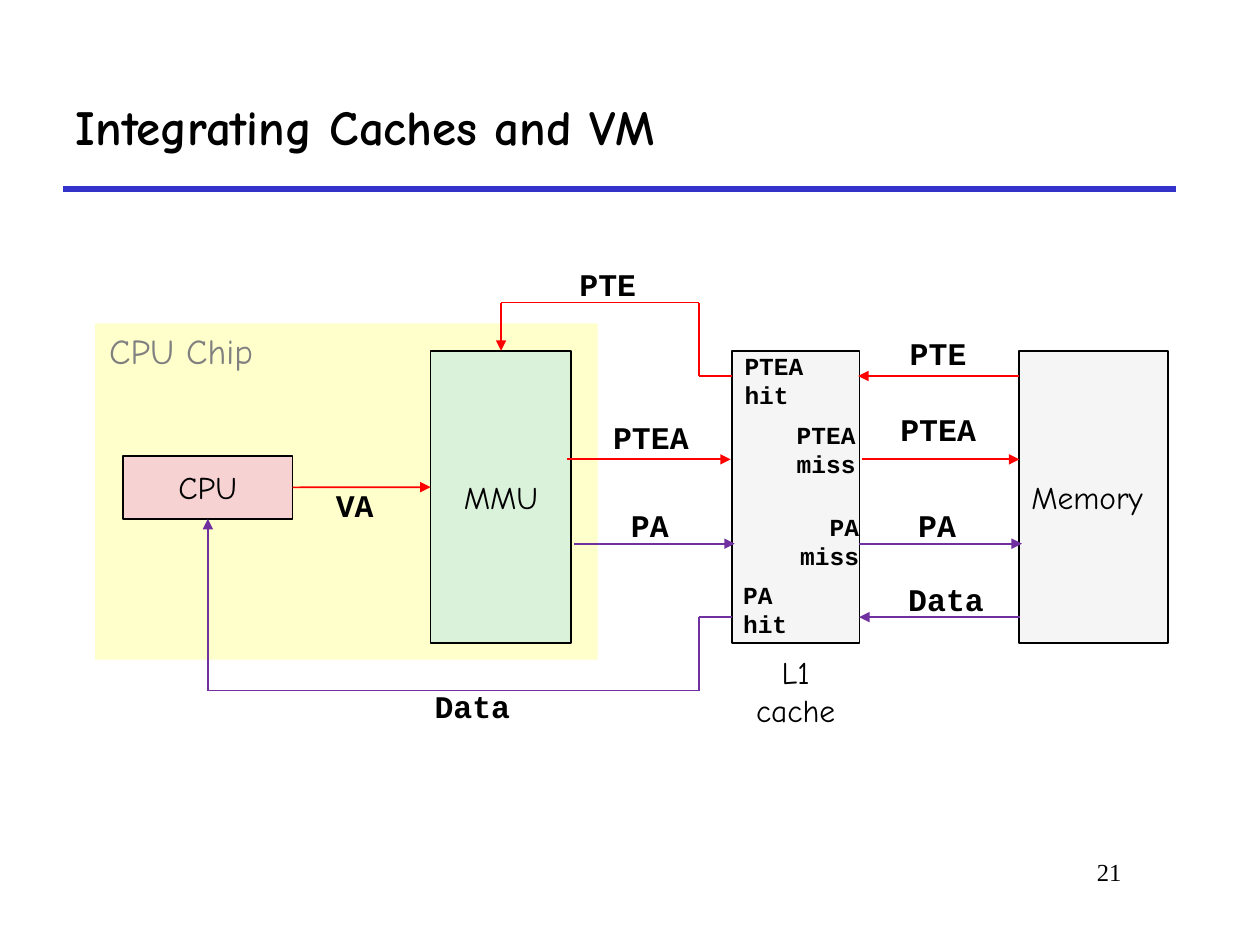
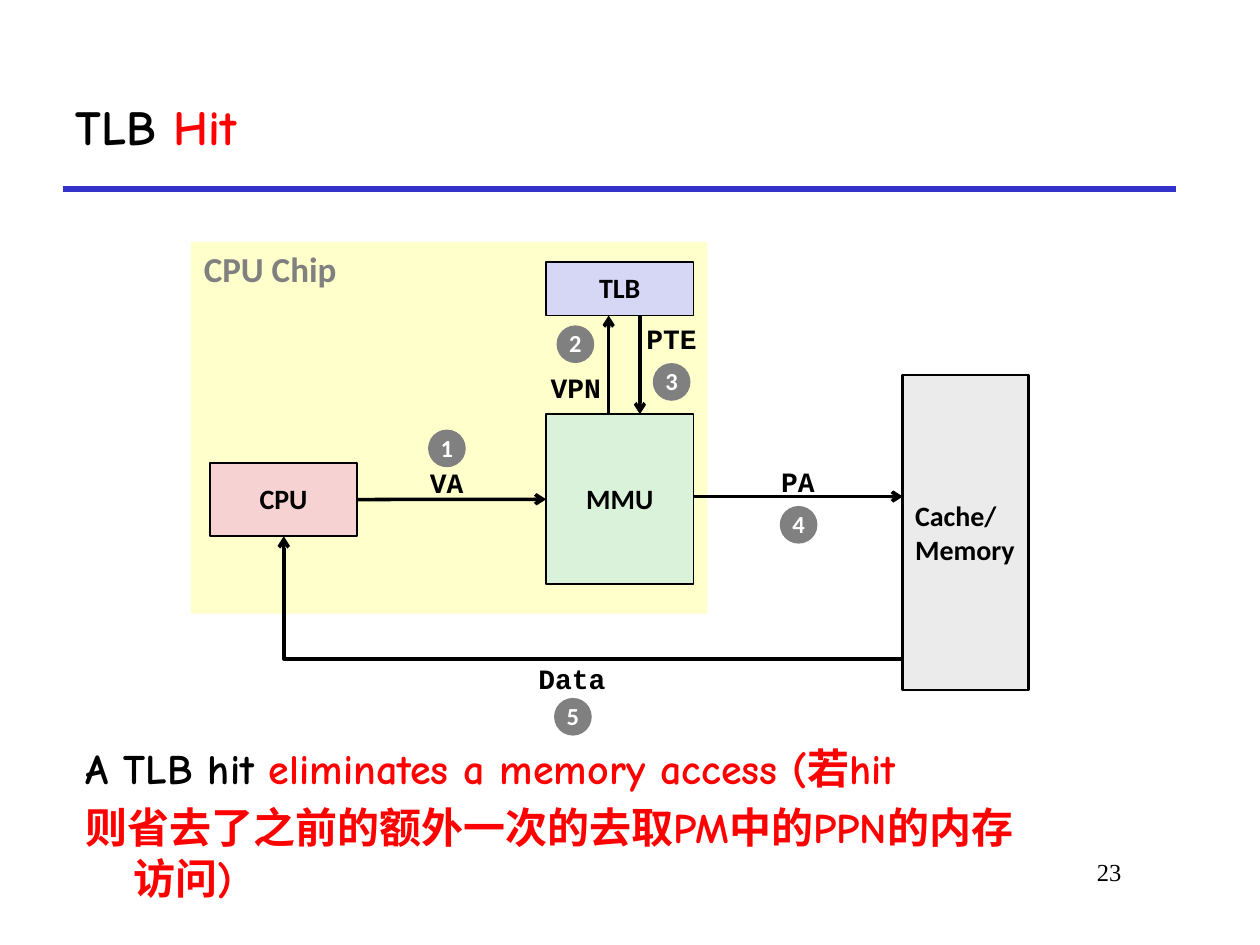
"""Build two slides on address translation: caches with virtual memory, and a TLB hit."""
import lxml.etree
import pptx
import pptx.dml.color
import pptx.enum.shapes
import pptx.enum.text
import pptx.oxml.ns
import pptx.util

Cm = pptx.util.Cm
Pt = pptx.util.Pt
qn = pptx.oxml.ns.qn
ALIGN = pptx.enum.text.PP_ALIGN
ANCHOR = pptx.enum.text.MSO_ANCHOR
AUTO_SIZE = pptx.enum.text.MSO_AUTO_SIZE
SHAPE = pptx.enum.shapes.MSO_SHAPE
CONNECTOR = pptx.enum.shapes.MSO_CONNECTOR
TOP, LEFT, BOTTOM, RIGHT = range(4)

COLORS = {
    "black": "000000", "white": "FFFFFF", "grey": "808080", "red": "FF0000",
    "purple": "7030A0", "rule": "3333CC", "chip": "FFFFCC", "cpu": "F6D2D2",
    "mmu": "DBF2DA", "tlb": "D6D6F5", "cache": "F5F5F5", "memory": "EBEBEB",
}

TITLE_FONT = {"name": "Comic Neue", "size": Pt(28), "bold": True}
BODY_FONT = {**TITLE_FONT, "size": Pt(24)}
NUMBER_FONT = {"name": "Times New Roman", "size": Pt(14)}
COMIC_FONT = {"name": "Comic Neue", "size": Pt(18), "bold": False}
COMIC_CHIP_FONT = {**COMIC_FONT, "size": Pt(20)}
CODE_FONT = {"name": "Courier New", "size": Pt(18), "bold": True}
SMALL_CODE_FONT = {**CODE_FONT, "size": Pt(16)}
NOTE_FONT = {**CODE_FONT, "size": Pt(14)}
BLOCK_FONT = {"name": "Calibri", "size": Pt(16), "bold": True}
STEP_FONT = {**BLOCK_FONT, "size": Pt(14)}
CHIP_FONT = {**BLOCK_FONT, "size": Pt(20)}

BLOCK_FRAME = {"word_wrap": False, "vertical_anchor": ANCHOR.MIDDLE}
LABEL_FRAME = {**BLOCK_FRAME, "auto_size": AUTO_SIZE.SHAPE_TO_FIT_TEXT}
TOP_FRAME = {**LABEL_FRAME, "vertical_anchor": ANCHOR.TOP}
TIGHT_FRAME = {
    **TOP_FRAME, "margin_left": Cm(0.17), "margin_right": Cm(0.17),
    "margin_top": Cm(0.08), "margin_bottom": Cm(0.08),
}
WRAPPED_FRAME = {"word_wrap": True, "auto_size": AUTO_SIZE.NONE}
TIGHT_LINES = {"line_spacing": 0.85}
CENTERED = {"alignment": ALIGN.CENTER}
CENTERED_CLOSE = {**CENTERED, "line_spacing": 0.98}
RIGHT_ALIGNED = {"alignment": ALIGN.RIGHT}
LEFT_ALIGNED = {"alignment": ALIGN.LEFT}


def rgb(color):
    return pptx.dml.color.RGBColor.from_string(COLORS[color])


def lengths(values):
    return [Cm(value) for value in values]


def apply_format(target, values):
    for name, value in values.items():
        setattr(target, name, value)


def add_runs(paragraph, runs, font):
    for text, color in runs:
        run = paragraph.add_run()
        run.text = text
        apply_format(run.font, font)
        run.font.color.rgb = rgb(color)


def write_lines(text_frame, lines, font, frame, paragraph_format):
    """Write each list of (text, colour) runs as one paragraph."""
    apply_format(text_frame, frame)
    for index, runs in enumerate(lines):
        paragraph = text_frame.add_paragraph() if index else text_frame.paragraphs[0]
        apply_format(paragraph, paragraph_format)
        add_runs(paragraph, runs, font)


def write_text(text_frame, text, font, frame, paragraph_format, color="black"):
    lines = [[(line, color)] for line in text.split("\n")]
    write_lines(text_frame, lines, font, frame, paragraph_format)


def place(shape, box):
    shape.left, shape.top, shape.width, shape.height = lengths(box)


def add_label(slide, text, box, font, frame=LABEL_FRAME, paragraph_format=LEFT_ALIGNED, color="black"):
    text_box = slide.shapes.add_textbox(*lengths(box))
    write_text(text_box.text_frame, text, font, frame, paragraph_format, color)


def add_block(slide, box, fill, text="", font=BLOCK_FONT, outline=1,
              paragraph_format=CENTERED, kind=SHAPE.RECTANGLE, color="black"):
    shape = slide.shapes.add_shape(kind, *lengths(box))
    shape.shadow.inherit = False
    shape.fill.solid()
    shape.fill.fore_color.rgb = rgb(fill)
    if outline:
        shape.line.color.rgb = rgb("black")
        shape.line.width = Pt(outline)
    else:
        shape.line.fill.background()
    if text:
        write_text(shape.text_frame, text, font, BLOCK_FRAME, paragraph_format, color)
    return shape


def add_line(slide, start, end, color, width, head=None, kind=CONNECTOR.STRAIGHT):
    connector = slide.shapes.add_connector(kind, *lengths(start + end))
    connector.line.color.rgb = rgb(color)
    connector.line.width = Pt(width)
    properties = connector.element.spPr
    if head:
        lxml.etree.SubElement(properties.find(qn("a:ln")), qn("a:tailEnd"), type=head)
    lxml.etree.SubElement(properties, qn("a:effectLst"))
    return connector


def add_return_bend(slide, top_left, bottom_right, color, width, head):
    """Draw one bent arrow from the bottom right, left along the bottom and up."""
    connector = add_line(slide, top_left, bottom_right, color, width, head, CONNECTOR.ELBOW)
    properties = connector.element.spPr
    properties.find(qn("a:xfrm")).set("rot", "10800000")
    properties.find(qn("a:prstGeom")).set("prst", "bentConnector2")


def add_route(slide, points, color, width, head, begin=None, end=None):
    """Draw straight segments through the points, with an arrowhead on the last."""
    last = len(points) - 2
    segments = [
        add_line(slide, start, stop, color, width, head if index == last else None)
        for index, (start, stop) in enumerate(zip(points, points[1:]))
    ]
    if begin:
        segments[0].begin_connect(*begin)
    if end:
        segments[-1].end_connect(*end)


def add_slide(presentation, layout, title_runs, number):
    slide = presentation.slides.add_slide(presentation.slide_layouts[layout])
    place(slide.shapes.title, (1.27, 1.27, 22.43, 2.54))
    title_frame = {**WRAPPED_FRAME, "vertical_anchor": ANCHOR.MIDDLE}
    write_lines(slide.shapes.title.text_frame, [title_runs], TITLE_FONT, title_frame, LEFT_ALIGNED)
    add_line(slide, (1.27, 3.81), (23.7, 3.81), "rule", 3)
    add_label(slide, number, (19.25, 17.15, 3.61, 1.27), NUMBER_FONT, WRAPPED_FRAME, RIGHT_ALIGNED)
    return slide


def add_body(slide, lines):
    body = slide.placeholders[1]
    place(body, (1.47, 14.85, 19.96, 1.6))
    write_lines(body.text_frame, lines, BODY_FONT, WRAPPED_FRAME, LEFT_ALIGNED)
    for index, paragraph in enumerate(body.text_frame.paragraphs):
        properties = paragraph._p.get_or_add_pPr()
        properties.set("marL", str(Cm(0.97)))
        properties.set("indent", str(-Cm(0.97)))
        lxml.etree.SubElement(properties, qn("a:buNone"))
        paragraph.space_before = Pt(4.8 if index else 0)


def build_caches_slide(presentation):
    slide = add_slide(presentation, 5, [("Integrating Caches and VM", "black")], "21")
    add_block(slide, (1.92, 6.52, 10.13, 6.78), "chip", outline=0)
    cpu = add_block(slide, (2.48, 9.19, 3.42, 1.27), "cpu", "CPU", COMIC_FONT)
    column_top, column_height = 7.07, 5.89
    mmu = add_block(slide, (8.68, column_top, 2.84, column_height), "mmu", "MMU", COMIC_FONT)
    add_block(slide, (14.76, column_top, 2.57, column_height), "cache")
    add_block(slide, (20.54, column_top, 3, column_height), "cache", "Memory", COMIC_FONT,
              paragraph_format=LEFT_ALIGNED)

    pte_row, ptea_row, pa_row, data_row = 7.58, 9.26, 10.96, 12.44
    add_route(slide, [(5.9, 9.82), (8.68, 9.82)], "red", 1, "triangle", begin=(cpu, RIGHT))
    for start, stop, row, color in [
        (11.43, 14.73, ptea_row, "red"), (17.37, 20.55, ptea_row, "red"),
        (20.55, 17.3, pte_row, "red"), (11.58, 14.81, pa_row, "purple"),
        (17.32, 20.6, pa_row, "purple"), (20.57, 17.32, data_row, "purple"),
    ]:
        add_route(slide, [(start, row), (stop, row)], color, 1, "triangle")
    pte_return = [(14.76, pte_row), (14.09, pte_row), (14.09, 6.1), (10.1, 6.1), (10.1, column_top)]
    add_route(slide, pte_return, "red", 1, "triangle", end=(mmu, TOP))
    data_return = [(14.76, data_row), (14.09, data_row), (14.09, 13.92), (4.19, 13.92), (4.19, 10.46)]
    add_route(slide, data_return, "purple", 1, "triangle", end=(cpu, BOTTOM))

    for text, left, top, width in [
        ("VA", 6.6, 9.83, 1.12), ("PTEA", 12.19, 8.46, 1.88),
        ("PA", 12.55, 10.24, 1.12), ("PTEA", 17.98, 8.31, 1.88),
    ]:
        add_label(slide, text, (left, top, width, 0.79), CODE_FONT, TIGHT_FRAME, TIGHT_LINES)
    for text, left, top, width in [
        ("PTE", 11.43, 5.21, 1.65), ("PTE", 18.09, 6.6, 1.65), ("PA", 18.26, 10.08, 1.3),
        ("Data", 18.06, 11.56, 2.06), ("Data", 8.51, 13.72, 2.06),
    ]:
        add_label(slide, text, (left, top, width, 1.02), CODE_FONT)
    for text, left, top, width, alignment in [
        ("PTEA\nhit", 14.76, 6.94, 2.01, LEFT_ALIGNED), ("PTEA\nmiss", 15.8, 8.33, 1.7, RIGHT_ALIGNED),
        ("PA\nmiss", 15.87, 10.19, 1.7, RIGHT_ALIGNED), ("PA\nhit", 14.73, 11.56, 1.4, LEFT_ALIGNED),
    ]:
        add_label(slide, text, (left, top, width, 1.45), NOTE_FONT, paragraph_format=alignment)
    add_label(slide, "L1\ncache", (14.91, 13.03, 2.26, 1.8), COMIC_FONT, paragraph_format=CENTERED)
    add_label(slide, "CPU Chip", (1.95, 6.52, 3.48, 1.12), COMIC_CHIP_FONT, TOP_FRAME, color="grey")


def build_tlb_slide(presentation):
    slide = add_slide(presentation, 1, [("TLB ", "black"), ("Hit", "red")], "23")
    add_block(slide, (3.85, 4.88, 10.41, 7.49), "chip", outline=0)
    mmu = add_block(slide, (11.01, 8.35, 2.97, 3.43), "mmu", "MMU", paragraph_format=CENTERED_CLOSE)
    add_block(slide, (18.2, 7.56, 2.54, 6.35), "memory", "Cache/\nMemory", outline=1.5,
              paragraph_format=LEFT_ALIGNED)
    cpu = add_block(slide, (4.23, 9.33, 2.97, 1.48), "cpu", "CPU", paragraph_format=CENTERED_CLOSE)
    add_block(slide, (11.01, 5.29, 2.97, 1.07), "tlb", "TLB", paragraph_format=CENTERED_CLOSE)

    add_route(slide, [(7.2, 10.07), (11.01, 10.07)], "black", 2, "arrow", (cpu, RIGHT), (mmu, LEFT))
    for start, stop in [
        ((12.27, 8.35), (12.27, 6.36)), ((12.9, 6.36), (12.9, 8.35)), ((13.98, 10.01), (18.2, 10.01)),
    ]:
        add_route(slide, [start, stop], "black", 2, "arrow")
    add_return_bend(slide, (5.72, 10.81), (18.2, 13.28), "black", 2, "arrow")

    for text, left, top, width in [
        ("VA", 8.41, 9.27, 1.19), ("VPN", 10.85, 7.36, 1.52), ("PTE", 12.78, 6.37, 1.52),
        ("PA", 15.49, 9.26, 1.19), ("Data", 10.59, 13.23, 1.88),
    ]:
        add_label(slide, text, (left, top, width, 0.94), SMALL_CODE_FONT, paragraph_format=CENTERED_CLOSE)
    step_corners = [(8.63, 8.66), (11.22, 6.56), (13.16, 7.32), (15.72, 10.2), (11.17, 14.07)]
    for step, corner in enumerate(step_corners, start=1):
        add_block(slide, (*corner, 0.76, 0.76), "grey", str(step), STEP_FONT, outline=0,
                  paragraph_format=CENTERED_CLOSE, kind=SHAPE.OVAL, color="white")
    add_label(slide, "CPU Chip", (3.86, 4.87, 3.2, 1.12), CHIP_FONT, TOP_FRAME, color="grey")
    add_body(slide, [
        [("A TLB hit ", "black"), ("eliminates a memory access (若hit", "red")],
        [("则省去了之前的额外一次的去取PM中的PPN的内存访问)", "red")],
    ])


def main():
    presentation = pptx.Presentation()
    presentation.slide_width = Cm(25.4)
    presentation.slide_height = Cm(19.05)
    build_caches_slide(presentation)
    build_tlb_slide(presentation)
    presentation.save("out.pptx")


if __name__ == "__main__":
    main()
